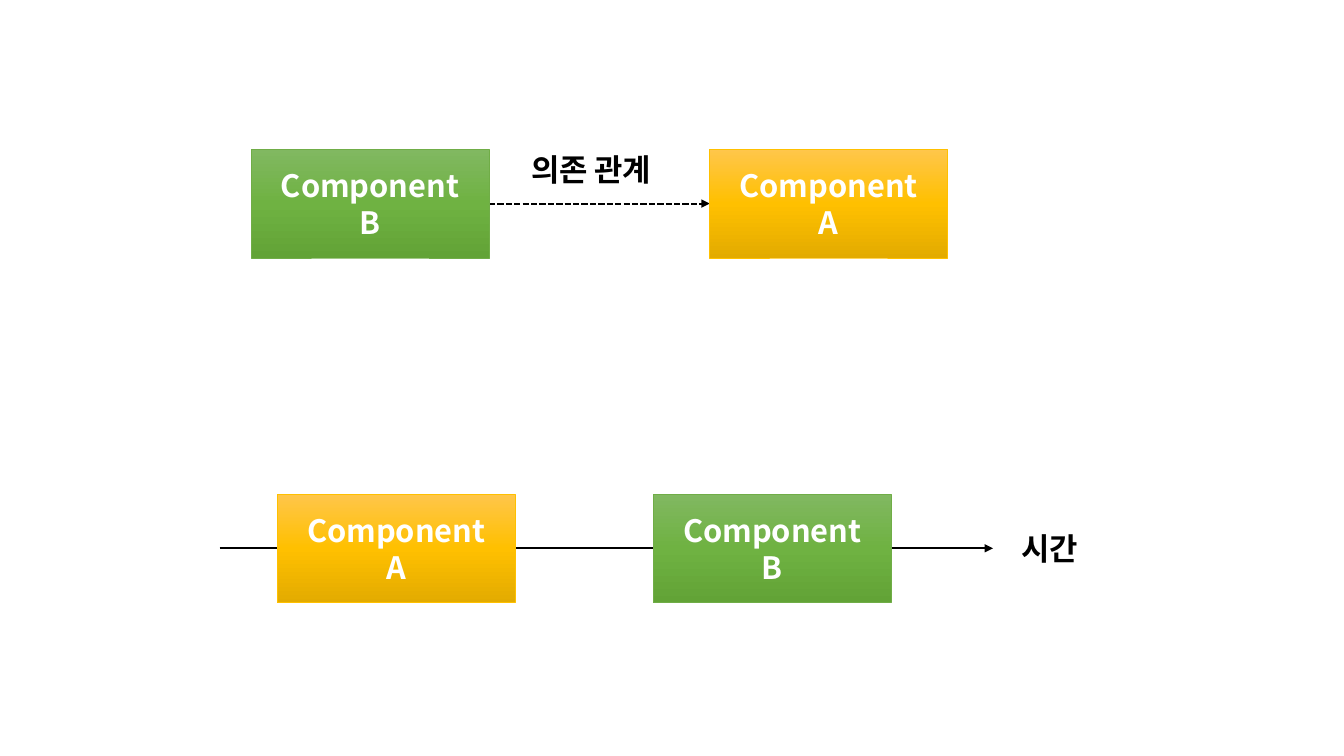
from copy import deepcopy
from lxml.etree import SubElement
from pptx import Presentation
from pptx.dml.color import RGBColor
from pptx.enum.dml import MSO_LINE
from pptx.enum.shapes import MSO_CONNECTOR, MSO_SHAPE
from pptx.enum.text import MSO_ANCHOR, MSO_AUTO_SIZE, PP_ALIGN
from pptx.oxml.ns import qn
from pptx.util import Inches, Pt

FONT = "Noto Sans CJK KR"
COLORS = {
    "text": "000000", "box text": "FFFFFF",
    "A top": "FFC64B", "A middle": "FFC000", "A bottom": "E3AB00", "A line": "FFC000",
    "B top": "81B861", "B middle": "6FB242", "B bottom": "62A336", "B line": "70AD47",
}


def color(name):
    return RGBColor.from_string(COLORS[name])


def format_text(frame, color_name):
    for para in frame.paragraphs:
        for span in para.runs:
            span.font.size, span.font.bold = Pt(22), True
            span.font.color.rgb = color(color_name)
            span.font.name = FONT
            SubElement(span.font._element, qn("a:ea")).set("typeface", FONT)


deck = Presentation()
deck.slide_width, deck.slide_height = Inches(13.33), Inches(7.5)
page = deck.slides.add_slide(deck.slide_layouts[6])

# Grid: one hundred columns by one hundred rows
COL, ROW = deck.slide_width / 100, deck.slide_height / 100
BOX_WIDTH, BOX_HEIGHT = 17.7, 14.4
DEPENDENCY_TOP, TIMELINE_TOP = 19.73, 65.33
DEPENDENT_LEFT, DEPENDED_LEFT = 18.68, 52.81

# Arrows: dependency (dashed) and timeline (solid, behind its boxes)
arrows = [
    (DEPENDENT_LEFT + BOX_WIDTH, DEPENDED_LEFT, DEPENDENCY_TOP, MSO_LINE.SQUARE_DOT),
    (16.35, 73.89, TIMELINE_TOP, MSO_LINE.SOLID),
]
for start, end, row_top, dash in arrows:
    middle = int((row_top + BOX_HEIGHT / 2) * ROW)
    arrow = page.shapes.add_connector(
        MSO_CONNECTOR.STRAIGHT, int(start * COL), middle, int(end * COL), middle)
    arrow.line.color.rgb = color("text")
    arrow.line.width, arrow.line.dash_style = Pt(1.5), dash
    SubElement(arrow.line._get_or_add_ln(), qn("a:tailEnd")).set("type", "triangle")
    SubElement(arrow._element.spPr, qn("a:effectLst"))

# Component boxes
components = [
    ("B", DEPENDENT_LEFT, DEPENDENCY_TOP), ("A", DEPENDED_LEFT, DEPENDENCY_TOP),
    ("B", 48.61, TIMELINE_TOP), ("A", 20.63, TIMELINE_TOP),
]
for letter, left, top in components:
    box = page.shapes.add_shape(
        MSO_SHAPE.RECTANGLE, int(left * COL), int(top * ROW),
        int(BOX_WIDTH * COL), int(BOX_HEIGHT * ROW))
    box.shadow.inherit = False
    box.line.color.rgb, box.line.width = color(f"{letter} line"), Pt(0.5)

    # Three-stop gradient, running downwards
    box.fill.gradient()
    box.fill.gradient_angle = 270
    first_stop = box._element.spPr.find(".//" + qn("a:gs"))
    first_stop.addnext(deepcopy(first_stop))
    for stop, part, position in zip(
            box.fill.gradient_stops, ("top", "middle", "bottom"), (0, 0.5, 1)):
        stop.color.rgb, stop.position = color(f"{letter} {part}"), position

    frame = box.text_frame
    frame.text = f"Component\n{letter}"
    frame.word_wrap, frame.vertical_anchor = True, MSO_ANCHOR.MIDDLE
    for para in frame.paragraphs:
        para.alignment = PP_ALIGN.CENTER
    format_text(frame, "box text")

# Arrow labels
for label, left, top, width in [("의존 관계", 38.78, 19.33, 11.55), ("시간", 75.24, 69.47, 6.15)]:
    box = page.shapes.add_textbox(
        int(left * COL), int(top * ROW), int(width * COL), int(6.27 * ROW))
    frame = box.text_frame
    frame.text = label
    frame.word_wrap, frame.auto_size = False, MSO_AUTO_SIZE.SHAPE_TO_FIT_TEXT
    format_text(frame, "text")

deck.save("out.pptx")
